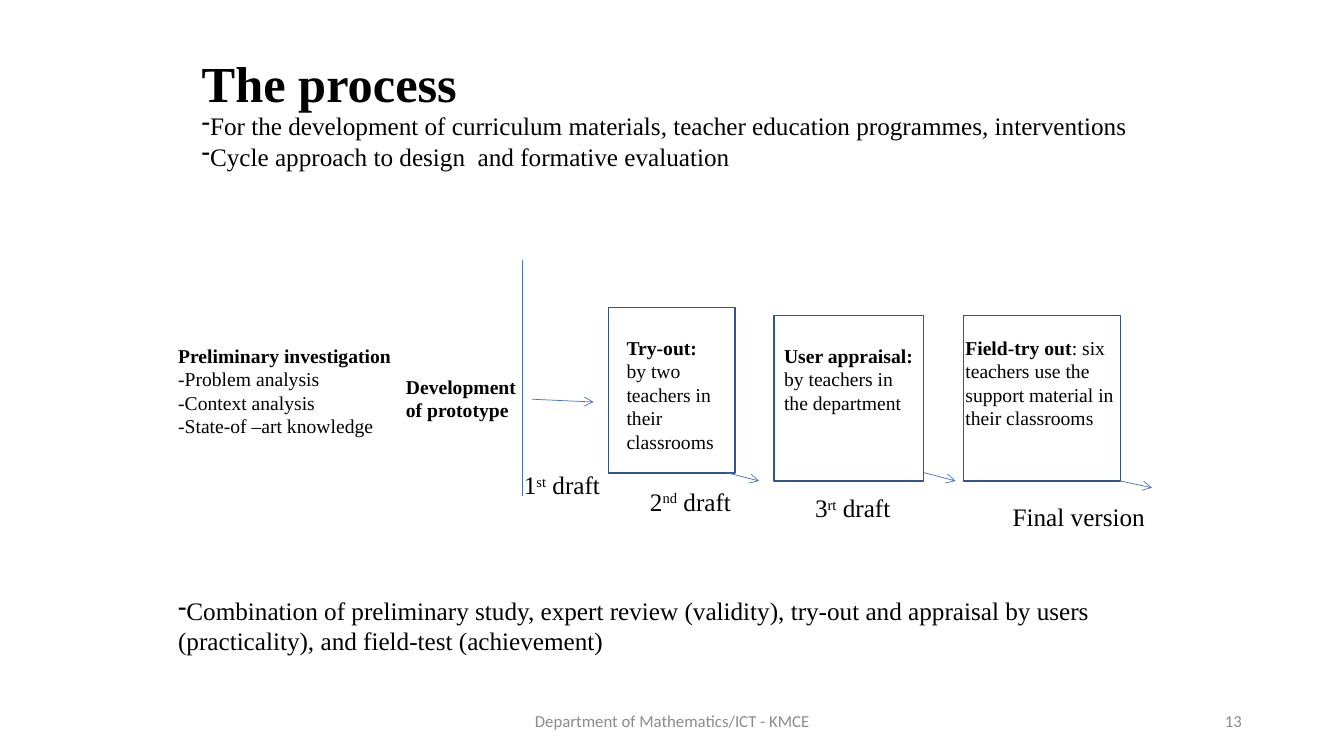
from pptx import Presentation
from pptx.dml.color import RGBColor
from pptx.enum.shapes import MSO_CONNECTOR as Connector, MSO_SHAPE as Shape
from pptx.enum.text import MSO_ANCHOR as Anchor, MSO_AUTO_SIZE as AutoSize, PP_ALIGN as Align
from pptx.oxml.ns import qn
from pptx.util import Cm, Pt
from lxml.etree import SubElement

SERIF = {"name": "Times New Roman", "color": "000000", "bold": False}
HEADING = {**SERIF, "size": Pt(36), "bold": True}
BODY = {**SERIF, "size": Pt(18)}
LABEL = {**SERIF, "size": Pt(14)}
FOOTER = {"name": "Calibri", "color": "8C8C8C", "size": Pt(12)}
BOLD = {"bold": True}
RAISED = {"baseline": 30}

# text, box in cm
STAGES = [
    ([[("Development", BOLD)], [("of prototype", BOLD)]], (9.98, 9.32, 3.43, 1.45)),
    ([[("Preliminary investigation", BOLD)], ["-Problem analysis"], ["-Context analysis"],
      ["-State-of –art knowledge"]], (4.24, 8.53, 7.75, 2.51)),
    ([[("Try-out: ", BOLD), "by two teachers in their classrooms"]], (15.54, 8.33, 2.77, 3.63)),
    ([[("User appraisal: ", BOLD), "by teachers in the department"]], (19.51, 8.53, 3.96, 1.96)),
    ([[("Field-try out", BOLD), ": six teachers use the support material in their classrooms"]],
     (24.08, 8.33, 4.37, 3.07)),
]
DRAFTS = [
    (["1", ("st", RAISED), " draft"], (12.95, 11.71, 2.59, 1.02)),
    (["2", ("nd", RAISED), " draft"], (16.13, 12.12, 3.18, 1.02)),
    (["3", ("rt", RAISED), " draft"], (20.29, 12.29, 2.59, 1.02)),
    (["Final version"], (25.27, 12.5, 4.37, 1.02)),
]
FRAMES = [(15.34, 7.75, 3.18, 4.17), (19.51, 7.95, 3.76, 4.17), (24.28, 7.95, 3.96, 4.17)]
ARROWS = [
    (13.41, 10.06, 14.96, 10.13),
    (18.31, 11.91, 19.13, 12.12),
    (23.29, 11.91, 24.08, 12.12),
    (28.24, 12.12, 29.03, 12.29),
]


def rgb(value):
    return RGBColor.from_string(value)


def lengths(values):
    return [Cm(value) for value in values]


def add_span(para, text, style):
    span = para.add_run()
    span.text = text
    for key, value in style.items():
        if key == "color":
            span.font.color.rgb = rgb(value)
        elif key == "baseline":
            span._r.get_or_add_rPr().set("baseline", str(value * 1000))
        else:
            setattr(span.font, key, value)


def add_dash(para):
    """Bullet the paragraph with a dash that has no hanging indent."""
    props = para._p.get_or_add_pPr()
    props.set("marL", "0")
    props.set("indent", "0")
    SubElement(props, qn("a:buFontTx"))
    SubElement(props, qn("a:buChar")).set("char", "-")


def write(box, paras, style, align=Align.LEFT, anchor=Anchor.TOP, dash=False):
    """Fill a box; a span is a string or a (string, style changes) pair."""
    frame = box.text_frame
    settings = {"word_wrap": True, "auto_size": AutoSize.NONE, "vertical_anchor": anchor}
    for key, value in settings.items():
        setattr(frame, key, value)
    for index, spans in enumerate(paras):
        para = frame.add_paragraph() if index else frame.paragraphs[0]
        for key, value in {"alignment": align, "space_before": Pt(0), "line_spacing": 1.0}.items():
            setattr(para, key, value)
        if dash:
            add_dash(para)
        for item in spans:
            text, changes = (item, {}) if isinstance(item, str) else item
            add_span(para, text, {**style, **changes})


def add_text(page, place, paras, style, **options):
    write(page.shapes.add_textbox(*lengths(place)), paras, style, **options)


def fill_placeholder(box, place, paras, style, **options):
    for key, value in zip(("left", "top", "width", "height"), lengths(place)):
        setattr(box, key, value)
    write(box, paras, style, **options)


def add_frame(page, place):
    box = page.shapes.add_shape(Shape.RECTANGLE, *lengths(place))
    box.shadow.inherit = False
    box.fill.background()
    box.line.color.rgb = rgb("325491")
    box.line.width = Pt(1)


def add_line(page, ends, arrow=False):
    line = page.shapes.add_connector(Connector.STRAIGHT, *lengths(ends))
    line.line.color.rgb = rgb("4472C4")
    line.line.width = Pt(0.5)
    if arrow:
        SubElement(line.line._get_or_add_ln(), qn("a:tailEnd")).set("type", "arrow")
    SubElement(line._element.spPr, qn("a:effectLst"))


def main():
    deck = Presentation()
    deck.slide_width, deck.slide_height = lengths((33.87, 19.05))
    page = deck.slides.add_slide(deck.slide_layouts[1])

    fill_placeholder(page.shapes.title, (4.83, 1.19, 24.82, 1.65), [["The process"]], HEADING)
    fill_placeholder(page.placeholders[1], (4.83, 2.66, 24.82, 2.49), [
        ["For the development of curriculum materials, teacher education programmes, interventions"],
        ["Cycle approach to design  and formative evaluation"],
    ], BODY, dash=True)

    for paras, place in STAGES:
        add_text(page, place, paras, LABEL)
    add_line(page, (13.16, 6.55, 13.16, 12.5))
    for place in FRAMES:
        add_frame(page, place)
    for ends in ARROWS:
        add_line(page, ends, arrow=True)
    for spans, place in DRAFTS:
        add_text(page, place, [spans], BODY)

    add_text(page, (4.24, 14.88, 25.4, 1.8), [[
        "Combination of preliminary study, expert review (validity), try-out and appraisal by users "
        "(practicality), and field-test (achievement)"]], BODY, dash=True)
    add_text(page, (11.23, 17.65, 11.43, 1.02), [["Department of Mathematics/ICT - KMCE"]],
             FOOTER, align=Align.CENTER, anchor=Anchor.MIDDLE)
    add_text(page, (23.93, 17.65, 7.62, 1.02), [["13"]],
             FOOTER, align=Align.RIGHT, anchor=Anchor.MIDDLE)
    deck.save("out.pptx")


if __name__ == "__main__":
    main()
